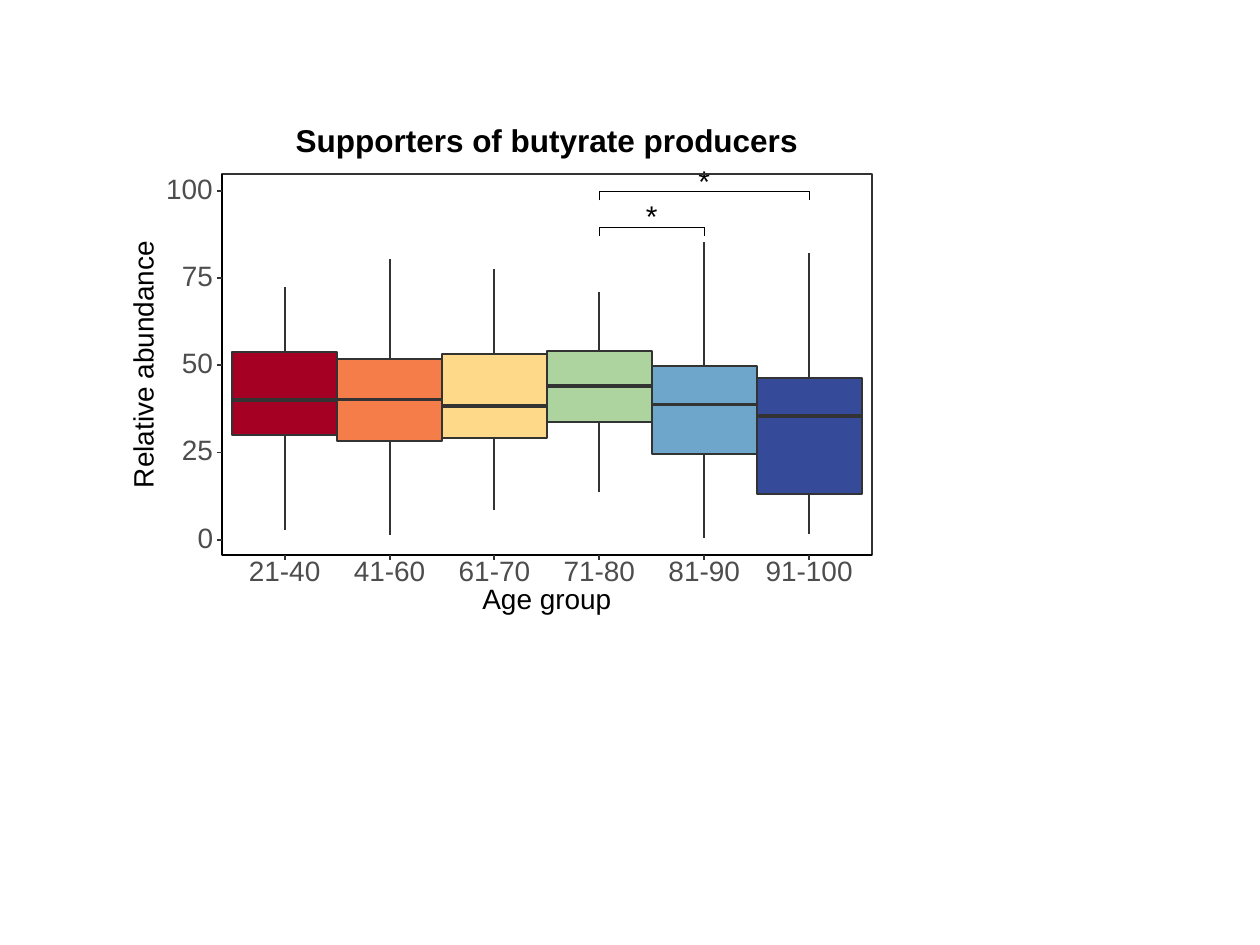
from lxml import etree
from pptx import Presentation
from pptx import util as u
from pptx.dml.color import RGBColor
from pptx.enum import shapes, text
from pptx.oxml.ns import qn

# Plot panel, in centimetres
LEFT, TOP, WIDTH, HEIGHT = 4.47, 3.51, 13.11, 7.68
RIGHT, BOTTOM = LEFT + WIDTH, TOP + HEIGHT
PITCH = WIDTH / 6.2
ZERO, HUNDRED = 10.88, 3.85
TICK = 0.1
THIN, MEDIUM, THICK = 0.64, 1.07, 2.13
BLACK, GREY, DARK, WHITE = "000000", "4D4D4D", "333333", "FFFFFF"

# Age group, fill, label width, minimum, lower quartile, median, upper quartile, maximum
GROUPS = [
    ("21-40", "A50023", 1.46, 2.7, 30, 40, 53.7, 72.5),
    ("41-60", "F47D4A", 1.46, 1.4, 28.3, 40.2, 51.7, 80.6),
    ("61-70", "FED98A", 1.46, 8.5, 29.1, 38.3, 53.2, 77.7),
    ("71-80", "ADD39F", 1.46, 13.6, 33.8, 44, 54.1, 70.9),
    ("81-90", "6DA5CB", 1.46, 0.6, 24.5, 38.8, 49.7, 85.3),
    ("91-100", "354A99", 1.79, 1.6, 13.1, 35.5, 46.4, 82.2),
]
# First group, last group, height of the bar, centre of the star
BRACKETS = [(3, 4, 4.58, 4.41), (3, 5, 3.86, 3.7)]


def rgb(value):
    return RGBColor.from_string(value)


def group_x(index):
    return LEFT + (index + 0.6) * PITCH


def value_y(value):
    return ZERO - value * (ZERO - HUNDRED) / 100


def add_rect(s, x, y, w, h, fill=None, line=None, weight=MEDIUM):
    sp = s.add_shape(shapes.MSO_SHAPE.RECTANGLE, *map(u.Cm, (x, y, w, h)))
    sp.shadow.inherit = False
    for part, colour in ((sp.fill, fill), (sp.line.fill, line)):
        if colour:
            part.solid()
            part.fore_color.rgb = rgb(colour)
        else:
            part.background()
    if line:
        sp.line.width = u.Pt(weight)
    return sp


def add_line(s, x1, y1, x2, y2, colour=DARK, weight=MEDIUM):
    line = s.add_connector(shapes.MSO_CONNECTOR.STRAIGHT,
                           *map(u.Cm, (x1, y1, x2, y2)))
    line.line.color.rgb = rgb(colour)
    line.line.width = u.Pt(weight)
    etree.SubElement(line._element.spPr, qn("a:effectLst"))
    return line


def add_label(s, words, cx, cy, w, h=0.41, colour=BLACK, size=16,
              bold=False, rotation=0):
    """Add one line of text centred on the point cx, cy."""
    sp = s.add_textbox(*map(u.Cm, (cx - w / 2, cy - h / 2, w, h)))
    sp.rotation = rotation
    tf = sp.text_frame
    frame = {"margin_left": 0, "margin_right": 0, "margin_top": 0,
             "margin_bottom": 0, "word_wrap": False,
             "vertical_anchor": text.MSO_ANCHOR.MIDDLE}
    for name, value in frame.items():
        setattr(tf, name, value)
    p = tf.paragraphs[0]
    p.alignment = text.PP_ALIGN.CENTER
    p.line_spacing = u.Pt(size)
    r = p.add_run()
    r.text = words
    for name, value in {"name": "Arial", "size": u.Pt(size), "bold": bold}.items():
        setattr(r.font, name, value)
    r.font.color.rgb = rgb(colour)


def add_box(s, index, fill, low, q1, median, q3, high):
    x, left = group_x(index), group_x(index - 0.5)
    box = add_rect(s, left, value_y(q3), PITCH, value_y(q1) - value_y(q3), fill, DARK)
    for start, end, site in ((q3, high, 0), (q1, low, 2)):
        whisker = add_line(s, x, value_y(start), x, value_y(end))
        whisker.begin_connect(box, site)
    add_line(s, left, value_y(median), left + PITCH, value_y(median), weight=THICK)


def add_bracket(s, first, last, y, star_y):
    x1, x2 = group_x(first), group_x(last)
    drop = y + 0.18
    add_label(s, "*", (x1 + x2) / 2, star_y, 0.24, 0.18, size=17.1)
    for ends in ((x1, drop, x1, y), (x1, y, x2, y), (x2, y, x2, drop)):
        add_line(s, *ends, BLACK, THIN)


def add_axes(s):
    add_line(s, LEFT, BOTTOM, LEFT, TOP, BLACK)
    for value in range(0, 101, 25):
        w = 0.32 * len(str(value))
        y = value_y(value)
        add_label(s, str(value), 4.3 - w / 2, y, w, colour=GREY)
        add_line(s, LEFT - TICK, y, LEFT, y)
    add_line(s, LEFT, BOTTOM, RIGHT, BOTTOM, BLACK)
    for i, (name, _, w, *_) in enumerate(GROUPS):
        x = group_x(i)
        add_line(s, x, BOTTOM + TICK, x, BOTTOM)
        add_label(s, name, x, 11.56, w, colour=GREY)


def main():
    prs = Presentation()
    prs.slide_width, prs.slide_height = u.Cm(25.4), u.Cm(19.05)
    slide = prs.slides.add_slide(prs.slide_layouts[6])
    s = slide.shapes.add_group_shape().shapes

    for weight in (0.75, MEDIUM):
        add_rect(s, 2.54, 2.54, 15.24, 10.16, WHITE, WHITE, weight)
    add_rect(s, LEFT, TOP, WIDTH, HEIGHT, WHITE)
    for i, (_, fill, _, *values) in enumerate(GROUPS):
        add_box(s, i, fill, *values)
    for bracket in BRACKETS:
        add_bracket(s, *bracket)
    add_rect(s, LEFT, TOP, WIDTH, HEIGHT, line=DARK)
    add_axes(s)

    middle = LEFT + WIDTH / 2
    add_label(s, "Age group", middle, 12.11, 2.62, 0.53)
    add_label(s, "Relative abundance", 2.93, TOP + HEIGHT / 2, 4.98, rotation=270)
    add_label(s, "Supporters of butyrate producers", middle, 2.88, 10.14, 0.58,
              size=18, bold=True)
    prs.save("out.pptx")


if __name__ == "__main__":
    main()
